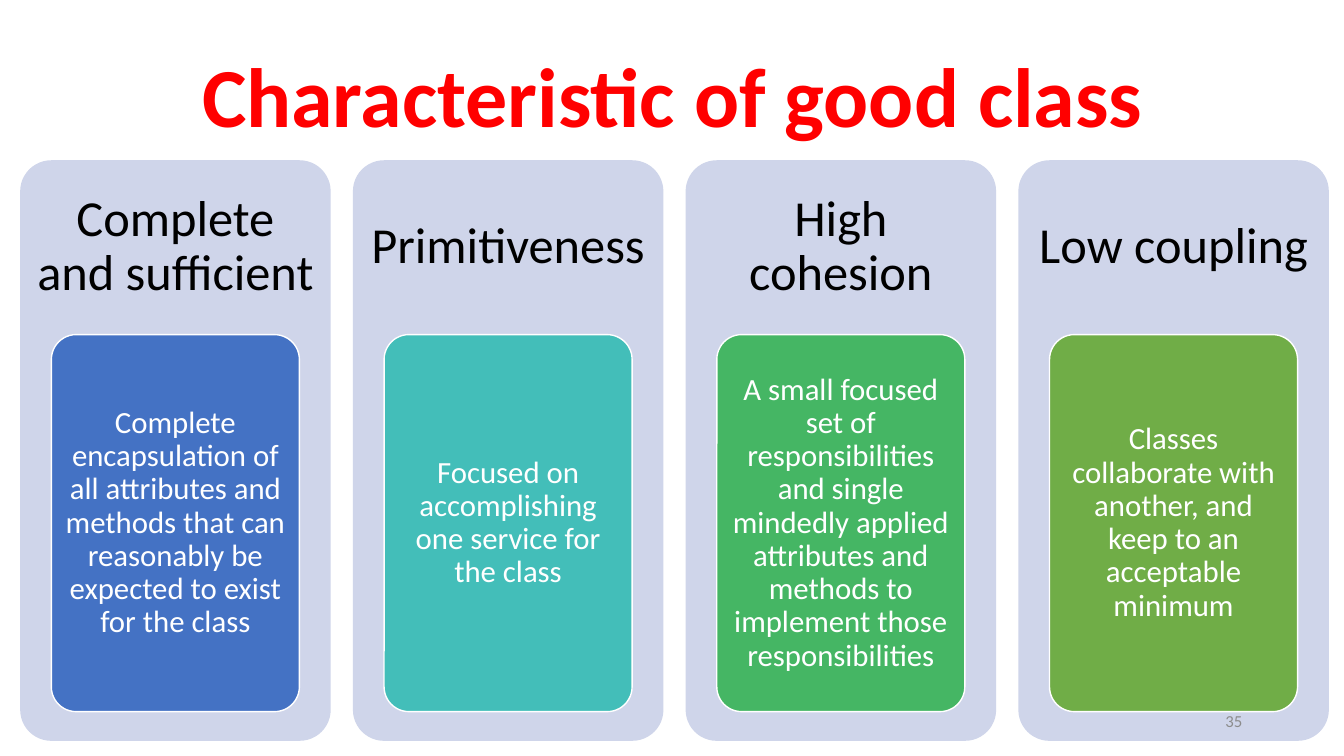
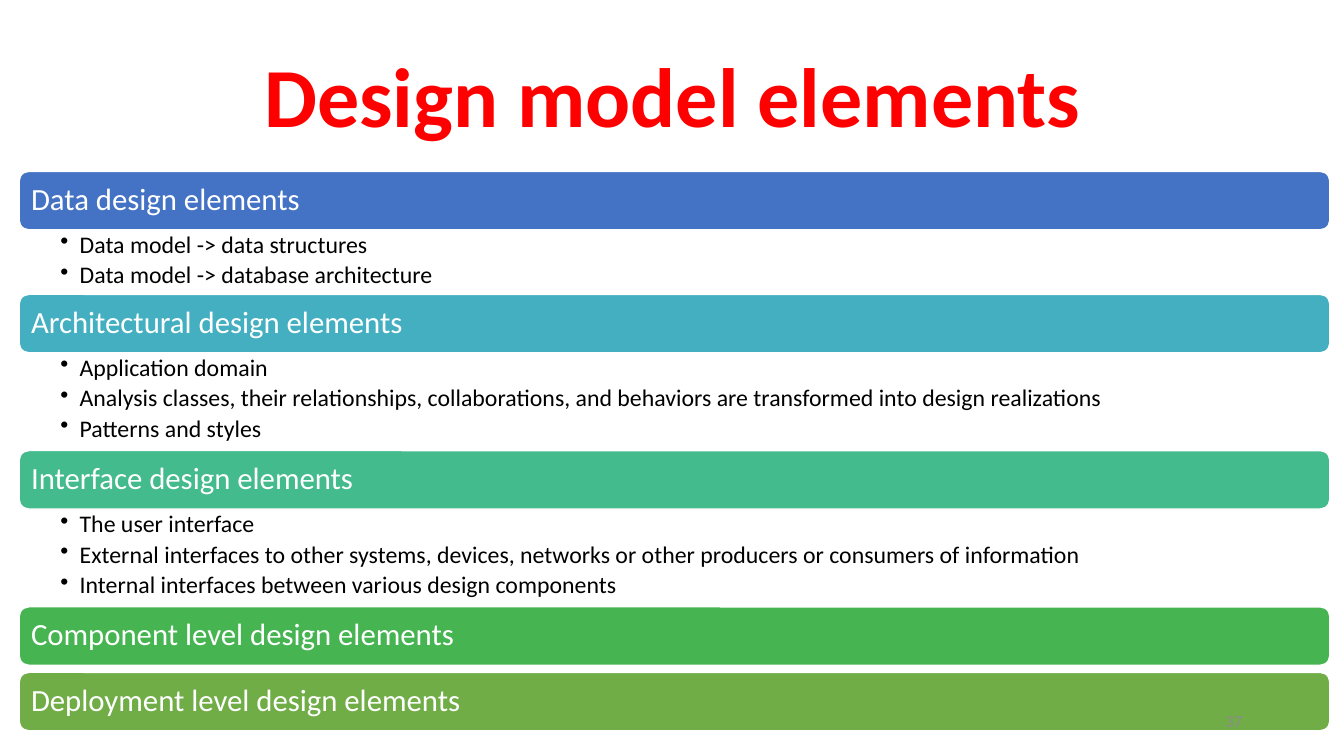
import pptx
import pptx.dml.color
import pptx.enum.shapes
import pptx.enum.text
import pptx.util
from lxml import etree
from pptx.oxml.ns import qn

Inches = pptx.util.Inches
Pt = pptx.util.Pt
ALIGN = pptx.enum.text.PP_ALIGN
ANCHOR = pptx.enum.text.MSO_ANCHOR
ROUNDED = pptx.enum.shapes.MSO_SHAPE.ROUNDED_RECTANGLE

FONT = "Calibri"
RED, BLACK, WHITE, GREY = "FF0000", "000000", "FFFFFF", "8C8C8C"
PANEL = "CFD5EA"


def color(hex_value):
    return pptx.dml.color.RGBColor.from_string(hex_value)


def write(shape, lines, size, ink, align, insets=None, anchor=ANCHOR.MIDDLE,
          bold=False, spacing=0.9):
    """Fill a shape with formatted paragraphs; insets are left, top, right, bottom."""
    frame = shape.text_frame
    frame.text = "\n".join(lines)
    frame_format = {"word_wrap": True, "vertical_anchor": anchor,
                    "auto_size": pptx.enum.text.MSO_AUTO_SIZE.NONE}
    if insets:
        sides = ("margin_left", "margin_top", "margin_right", "margin_bottom")
        frame_format.update(zip(sides, map(Inches, insets)))
    for key, value in frame_format.items():
        setattr(frame, key, value)
    for paragraph in frame.paragraphs:
        paragraph.alignment = align
        paragraph.line_spacing = spacing
        for key, value in {"name": FONT, "size": Pt(size), "bold": bold}.items():
            setattr(paragraph.font, key, value)
        paragraph.font.color.rgb = color(ink)


prs = pptx.Presentation()
prs.slide_width, prs.slide_height = Inches(13.33), Inches(7.5)
title_only = prs.slide_layouts[5]

slides = []
for heading in ("Characteristic of good class", "Design model elements"):
    slide = prs.slides.add_slide(title_only)
    title = slide.shapes.title
    title.left, title.top = Inches(0.92), Inches(0.4)
    title.width, title.height = Inches(11.5), Inches(1.19)
    write(title, [heading], 60, RED, ALIGN.CENTER, bold=True)
    slides.append(slide)
class_slide, model_slide = slides

# Four characteristics, each a panel with a card inside
characteristics = [
    ("Complete and sufficient", "4472C4",
     "Complete encapsulation of all attributes and methods that can "
     "reasonably be expected to exist for the class"),
    ("Primitiveness", "43BEB9",
     "Focused on accomplishing one service for the class"),
    ("High cohesion", "45B664",
     "A small focused set of responsibilities and single mindedly applied "
     "attributes and methods to implement those responsibilities"),
    ("Low coupling", "70AD47",
     "Classes collaborate with another, and keep to an acceptable minimum"),
]
panel_width, panel_gap = 3.08, 0.22
card_width = 2.46
for index, (name, card_fill, meaning) in enumerate(characteristics):
    left = 0.2 + index * (panel_width + panel_gap)
    panel = class_slide.shapes.add_shape(
        ROUNDED, Inches(left), Inches(1.59), Inches(panel_width), Inches(5.76))
    panel.fill.solid()
    panel.fill.fore_color.rgb = color(PANEL)
    panel.line.fill.background()
    # The deep bottom inset keeps the name above the card
    write(panel, [name], 36, BLACK, ALIGN.CENTER, (0.06, 0.06, 0.06, 4.09))

    card = class_slide.shapes.add_shape(
        ROUNDED, Inches(left + (panel_width - card_width) / 2), Inches(3.32),
        Inches(card_width), Inches(3.74))
    card.fill.solid()
    card.fill.fore_color.rgb = color(card_fill)
    card.line.color.rgb = color(WHITE)
    card.line.width = Pt(1)
    write(card, [meaning], 22, WHITE, ALIGN.CENTER, (0.06, 0.05, 0.06, 0.05))

    for rounded in (panel, card):
        rounded.adjustments[0] = 0.1
        rounded.shadow.inherit = False

# Design elements: band name, band fill, room below the band, bullets
elements = [
    ("Data design elements", "4472C4", 0.64,
     ["Data model -> data structures",
      "Data model -> database architecture"]),
    ("Architectural design elements", "43AFC0", 0.97,
     ["Application domain",
      "Analysis classes, their relationships, collaborations, and behaviors "
      "are transformed into design realizations",
      "Patterns and styles"]),
    ("Interface design elements", "43BB8D", 0.97,
     ["The user interface",
      "External interfaces to other systems, devices, networks or other "
      "producers or consumers of information",
      "Internal interfaces between various design components"]),
    ("Component level design elements", "45B451", 0.07, []),
    ("Deployment level design elements", "70AD47", 0, []),
]
band_left, band_width, band_height = Inches(0.19), Inches(13), 0.58
top = 1.7
for name, band_fill, room, bullets in elements:
    band = model_slide.shapes.add_shape(
        ROUNDED, band_left, Inches(top), band_width, Inches(band_height))
    band.shadow.inherit = False
    band.fill.solid()
    band.fill.fore_color.rgb = color(band_fill)
    band.line.color.rgb = color(WHITE)
    band.line.width = Pt(1)
    write(band, [name], 22, WHITE, ALIGN.LEFT, (0.09, 0.09, 0.09, 0.09))
    top += band_height

    if bullets:
        details = model_slide.shapes.add_textbox(
            band_left, Inches(top), band_width, Inches(room))
        write(details, bullets, 17, BLACK, ALIGN.LEFT,
              (0.41, 0.03, 0.17, 0.03), ANCHOR.TOP)
        for paragraph in details.text_frame.paragraphs:
            paragraph.space_after = Pt(3.4)
            properties = paragraph._p.get_or_add_pPr()
            properties.set("marL", str(Inches(0.19)))
            properties.set("indent", str(-Inches(0.19)))
            bullet = etree.Element(qn("a:buChar"), char="•")
            properties.find(qn("a:spcAft")).addnext(bullet)
    top += room

for slide, number in zip(slides, ("35", "37")):
    page_number = slide.shapes.add_textbox(
        Inches(9.42), Inches(6.95), Inches(3), Inches(0.4))
    write(page_number, [number], 12, GREY, ALIGN.RIGHT, spacing=1.0)

prs.save("out.pptx")
